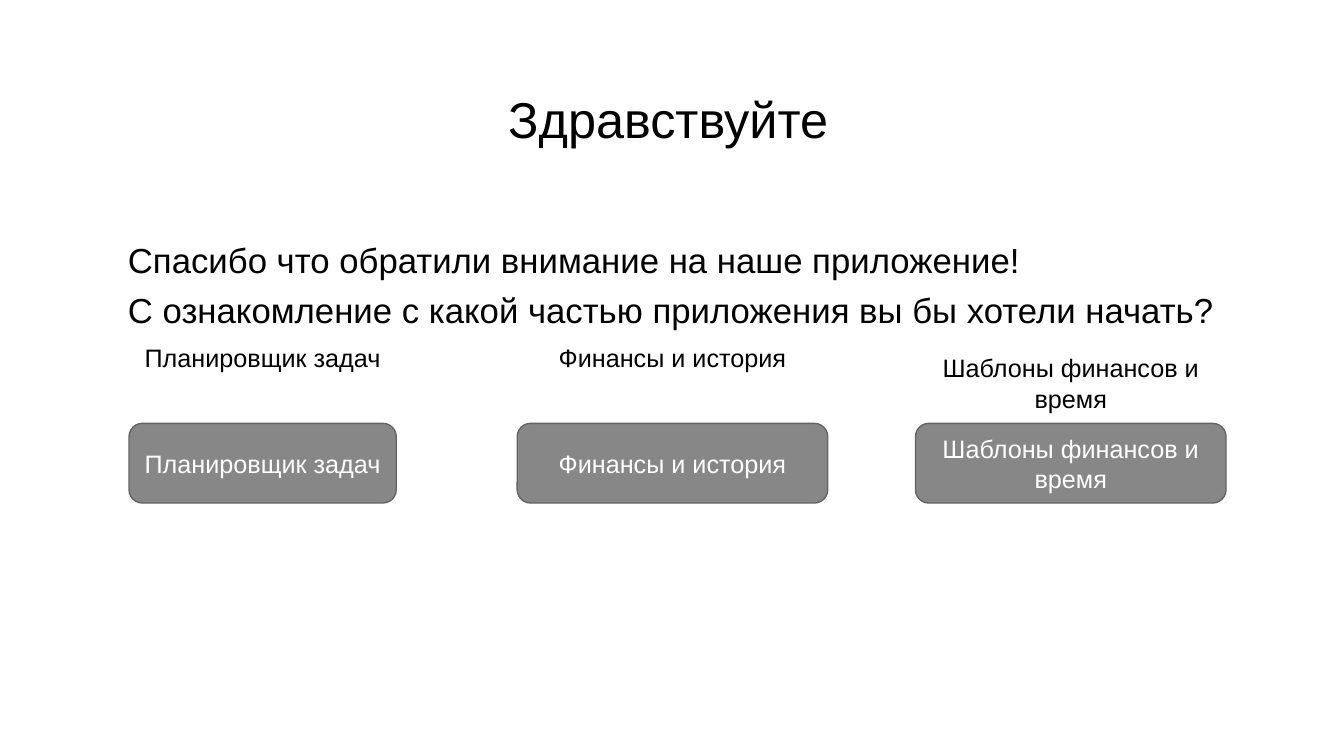
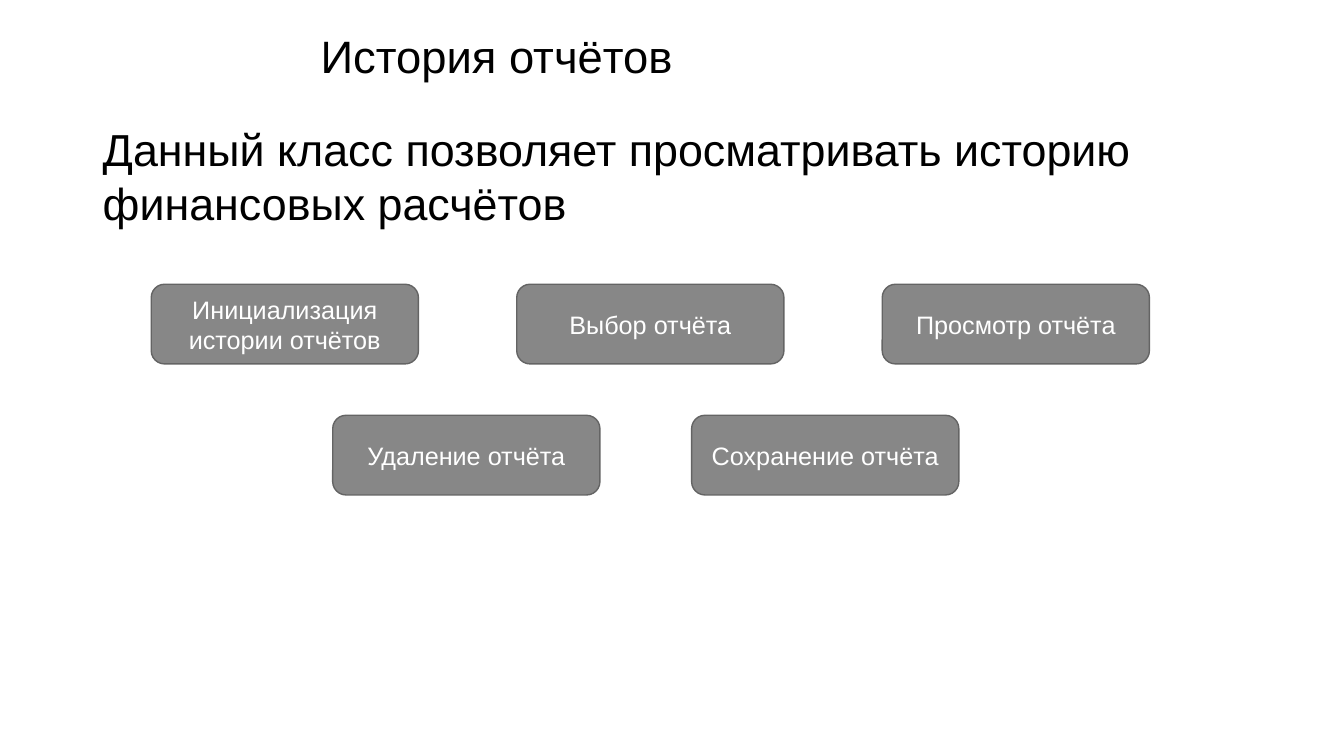
from pptx import Presentation
from pptx.dml.color import RGBColor
from pptx.enum.shapes import MSO_SHAPE
from pptx.enum.text import MSO_ANCHOR, MSO_AUTO_SIZE, PP_ALIGN
from pptx.util import Inches, Pt

FONT = "Arial"
BLACK, WHITE = "000000", "FFFFFF"
BUTTON_FILL, BUTTON_LINE = "878787", "646464"
SLIDE_WIDTH, SLIDE_HEIGHT = 13.33, 7.5
TITLE_HEIGHT = 0.64
BUTTON_WIDTH, BUTTON_HEIGHT = 2.65, 0.79
BUTTON_SIZE = 18


def color(value):
    return RGBColor.from_string(value)


def write(shape, lines, size, text_color=BLACK, align=PP_ALIGN.LEFT,
          anchor=MSO_ANCHOR.TOP, space_before=0):
    frame = shape.text_frame
    frame.word_wrap = True
    frame.auto_size = MSO_AUTO_SIZE.NONE
    frame.vertical_anchor = anchor
    for index, line in enumerate(lines):
        paragraph = frame.add_paragraph() if index else frame.paragraphs[0]
        paragraph.alignment = align
        paragraph.space_before = Pt(space_before if index else 0)
        run = paragraph.add_run()
        run.text = line
        run.font.name = FONT
        run.font.size = Pt(size)
        run.font.color.rgb = color(text_color)


def add_titled_slide(presentation, title, left, top, size):
    slide = presentation.slides.add_slide(presentation.slide_layouts[5])
    shape = slide.shapes.title
    shape.left, shape.top = Inches(left), Inches(top)
    shape.width, shape.height = Inches(SLIDE_WIDTH - left), Inches(TITLE_HEIGHT)
    write(shape, [title], size, anchor=MSO_ANCHOR.MIDDLE)
    return slide


def add_text(slide, lines, left, top, width, height, size, **style):
    box = slide.shapes.add_textbox(
        Inches(left), Inches(top), Inches(width), Inches(height))
    write(box, lines, size, **style)


def add_button(slide, text, left, top, width=BUTTON_WIDTH):
    button = slide.shapes.add_shape(
        MSO_SHAPE.ROUNDED_RECTANGLE,
        Inches(left), Inches(top), Inches(width), Inches(BUTTON_HEIGHT))
    button.shadow.inherit = False
    button.fill.solid()
    button.fill.fore_color.rgb = color(BUTTON_FILL)
    button.line.color.rgb = color(BUTTON_LINE)
    button.line.width = Pt(1)
    write(button, [text], BUTTON_SIZE, WHITE, PP_ALIGN.CENTER, MSO_ANCHOR.MIDDLE)


def add_button_row(slide, texts, left, top, width):
    """Spread equal buttons from edge to edge of the given width."""
    step = (width - BUTTON_WIDTH) / (len(texts) - 1)
    for index, text in enumerate(texts):
        add_button(slide, text, left + index * step, top)


def add_labelled_button(slide, text, left, top, width, label_rise, label_height):
    add_text(slide, [text], left, top - label_rise, width, label_height,
             BUTTON_SIZE, align=PP_ALIGN.CENTER)
    add_button(slide, text, left, top, width)


def build_welcome(presentation):
    slide = add_titled_slide(presentation, "Здравствуйте", 4.94, 0.85, 36)
    add_text(slide, ["Спасибо что обратили внимание на наше приложение!",
                     "С ознакомление с какой частью приложения вы бы хотели начать?"],
             1.17, 2.32, 11, 1, 24.8, space_before=6)
    for text, left, width, label_rise, label_height in (
            ("Планировщик задач", 1.28, BUTTON_WIDTH, 0.85, 0.4),
            ("Финансы и история", 5.13, 3.08, 0.85, 0.4),
            ("Шаблоны финансов и время", 9.08, 3.08, 0.75, 0.71)):
        add_labelled_button(slide, text, left, 4.2, width, label_rise, label_height)


def build_report_history(presentation):
    slide = add_titled_slide(presentation, "История отчётов", 3.08, 0.23, 32.4)
    add_text(slide, ["Данный класс позволяет просматривать историю финансовых расчётов"],
             0.92, 1.16, 11.49, 1.3, 32)
    add_button_row(slide, ["Инициализация истории отчётов", "Выбор отчёта",
                           "Просмотр отчёта"], 1.5, 2.82, 9.9)
    add_button_row(slide, ["Удаление отчёта", "Сохранение отчёта"], 3.3, 4.12, 6.21)


def main():
    presentation = Presentation()
    presentation.slide_width = Inches(SLIDE_WIDTH)
    presentation.slide_height = Inches(SLIDE_HEIGHT)
    build_welcome(presentation)
    build_report_history(presentation)
    presentation.save("out.pptx")


if __name__ == "__main__":
    main()
